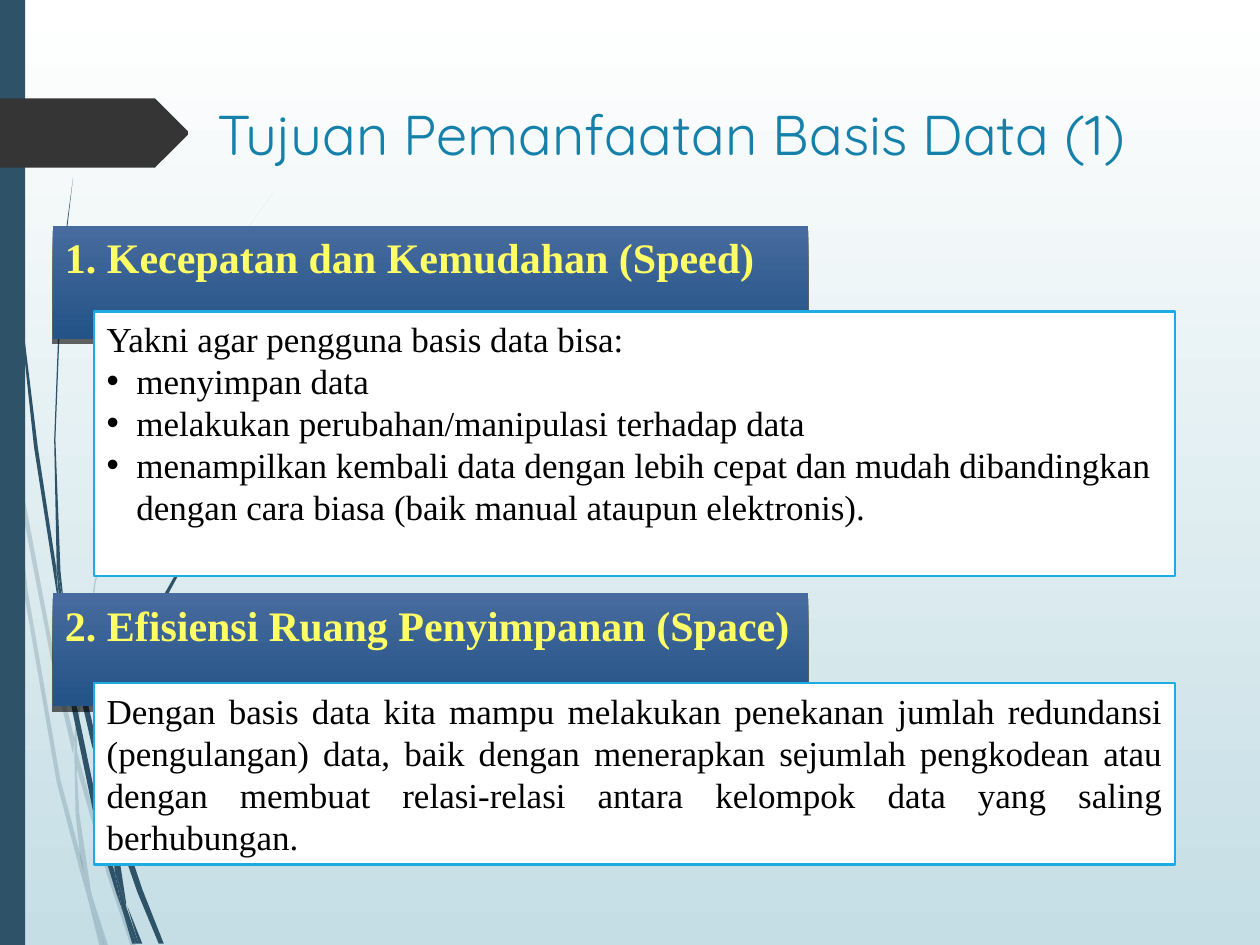
"""Build a slide on the first two purposes of using a database."""
from dataclasses import dataclass

from lxml.etree import SubElement
from pptx import Presentation
from pptx.dml.color import RGBColor
from pptx.enum.shapes import MSO_SHAPE
from pptx.enum.text import MSO_ANCHOR, MSO_AUTO_SIZE, PP_ALIGN
from pptx.oxml.ns import qn
from pptx.util import Cm, Pt

TITLE = "Tujuan Pemanfaatan Basis Data (1)"
SECTIONS = [
    {
        "heading": "1. Kecepatan dan Kemudahan (Speed)",
        "intro": "Yakni agar pengguna basis data bisa:",
        "bullets": [
            "menyimpan data",
            "melakukan perubahan/manipulasi terhadap data",
            "menampilkan kembali data dengan lebih cepat dan mudah dibandingkan "
            "dengan cara biasa (baik manual ataupun elektronis).",
        ],
        "align": PP_ALIGN.LEFT,
        "banner_top": 4.55, "body_top": 6.28, "body_height": 5.33,
    },
    {
        "heading": "2. Efisiensi Ruang Penyimpanan (Space)",
        "intro": "Dengan basis data kita mampu melakukan penekanan jumlah redundansi "
                 "(pengulangan) data, baik dengan menerapkan sejumlah pengkodean atau "
                 "dengan membuat relasi-relasi antara kelompok data yang saling berhubungan.",
        "bullets": [],
        "align": PP_ALIGN.JUSTIFY,
        "banner_top": 11.96, "body_top": 13.77, "body_height": 3.66,
    },
]

FADED_WISPS = [
    [(8, 350), (6, 322), (0, 282), (0, 299), (7, 344)],
    [(40, 521), (58, 599), (59, 586), (43, 520), (10, 345), (12, 376)],
    [(64, 607), (61, 596), (61, 610), (85, 694), (104, 751), (108, 751), (88, 692)],
    [(83, 751), (86, 751), (73, 711)],
    [(65, 683), (48, 619), (22, 469), (12, 376), (8, 350), (19, 470), (45, 621),
     (64, 693), (70, 714), (69, 707)],
    [(59, 599), (60, 646), (64, 683), (67, 692), (73, 711), (72, 706), (63, 646),
     (61, 610), (61, 608)],
    [(61, 584), (76, 462), (111, 349), (159, 245), (186, 198), (201, 175), (217, 153),
     (201, 175), (186, 197), (158, 244), (110, 348), (75, 461), (59, 584), (59, 586),
     (61, 596)],
    [(70, 714), (79, 751), (82, 751)],
    [(61, 608), (61, 610), (61, 596), (59, 586), (59, 599)],
    [(67, 692), (65, 683), (69, 707), (70, 714), (82, 751), (83, 751), (73, 711)],
]
SOLID_WISPS = [
    [(5, 110), (14, 233), (27, 355), (46, 477), (47, 481), (45, 457), (45, 453),
     (30, 355), (15, 232), (6, 109), (4, 48), (3, 0), (2, 0), (3, 48)],
    [(73, 592), (88, 645), (88, 633), (88, 631), (77, 590), (50, 472), (53, 505)],
    [(94, 649), (91, 641), (91, 656), (109, 708), (126, 749), (130, 749), (113, 706)],
    [(91, 692), (81, 657), (60, 556), (53, 505), (47, 477), (56, 557), (77, 659),
     (92, 708), (97, 722), (96, 717)],
    [(50, 472), (48, 453), (44, 349), (48, 245), (52, 193), (58, 141), (58, 141),
     (51, 193), (47, 245), (43, 349), (45, 449), (49, 471)],
    [(110, 749), (113, 749), (101, 719)],
    [(47, 477), (53, 505), (50, 472), (49, 472), (45, 449), (45, 453)],
    [(91, 633), (103, 552), (131, 476), (169, 406), (191, 374), (203, 359), (216, 344),
     (215, 344), (203, 358), (191, 373), (168, 405), (129, 474), (101, 551), (88, 631),
     (91, 641)],
    [(97, 722), (105, 749), (108, 749)],
    [(88, 645), (91, 692), (96, 706), (100, 719), (100, 716), (91, 657), (90, 651)],
    [(96, 706), (91, 692), (96, 717), (97, 722), (108, 749), (110, 749), (100, 719)],
]
ARROW = [(149, 107), (124, 132), (123, 133), (121, 133), (0, 133), (0, 78), (121, 78),
         (123, 78), (124, 79), (149, 104)]


@dataclass(frozen=True)
class Theme:
    sky: tuple = ("FFFFFF", "C5DEE5")
    banner: tuple = ("476B9E", "235387")
    slate: str = "2E5369"
    arrow: str = "353535"
    title: str = "1581AA"
    heading: str = "FFFF66"
    text: str = "000000"
    panel: str = "FFFFFF"
    outline: str = "1CACE3"
    title_font: str = "Quicksand"
    text_font: str = "Times New Roman"
    title_size: int = 32
    heading_size: int = 24
    text_size: int = 20
    text_leading: int = 24


THEME = Theme()
OUTLINE_UNIT = Cm(2.54) / 100


def paint_gradient(fill, colors):
    fill.gradient()
    fill.gradient_angle = 270
    for stop, color in zip(fill.gradient_stops, colors):
        stop.color.rgb = RGBColor.from_string(color)


def paint_solid(shape, color, opacity=100):
    shape.shadow.inherit = False
    shape.line.fill.background()
    shape.fill.solid()
    shape.fill.fore_color.rgb = RGBColor.from_string(color)
    if opacity < 100:
        tone = shape._element.spPr.find(qn("a:solidFill")).find(qn("a:srgbClr"))
        SubElement(tone, qn("a:alpha"), val=str(opacity * 1000))


def add_outline(page, points, color, opacity=100):
    builder = page.shapes.build_freeform(*points[0], scale=OUTLINE_UNIT)
    builder.add_line_segments(points[1:], close=True)
    paint_solid(builder.convert_to_shape(), color, opacity)


def add_rectangle(page, left, top, width, height):
    return page.shapes.add_shape(
        MSO_SHAPE.RECTANGLE, Cm(left), Cm(top), Cm(width), Cm(height))


def drop_shadow(shape):
    shape.shadow.inherit = False
    effects = shape._element.spPr.find(qn("a:effectLst"))
    shadow = SubElement(effects, qn("a:outerShdw"), blurRad="0", dist=str(Pt(3)),
                        dir="5400000", rotWithShape="0")
    tone = SubElement(shadow, qn("a:srgbClr"), val="000000")
    SubElement(tone, qn("a:alpha"), val="60000")


def prepare_frame(box):
    frame = box.text_frame
    frame.word_wrap = True
    frame.auto_size = MSO_AUTO_SIZE.NONE
    frame.vertical_anchor = MSO_ANCHOR.TOP
    return frame


def write(paragraph, text, *, font, size, color, bold=False, align=PP_ALIGN.LEFT,
          leading=None, bullet=False):
    if bullet:
        marks = paragraph._p.get_or_add_pPr()
        marks.set("marL", str(Cm(0.6)))
        marks.set("indent", str(-Cm(0.6)))
        SubElement(SubElement(marks, qn("a:buClr")), qn("a:srgbClr"), val=color)
        SubElement(marks, qn("a:buFont"), typeface="Arial")
        SubElement(marks, qn("a:buChar"), char="•")
    paragraph.alignment = align
    if leading:
        paragraph.line_spacing = Pt(leading)
    span = paragraph.add_run()
    span.text = text
    span.font.name, span.font.size, span.font.bold = font, Pt(size), bold
    span.font.color.rgb = RGBColor.from_string(color)


def add_section(page, section):
    banner = add_rectangle(page, 1.06, section["banner_top"], 15.24, 2.28)
    paint_gradient(banner.fill, THEME.banner)
    banner.line.fill.background()
    drop_shadow(banner)
    write(prepare_frame(banner).paragraphs[0], section["heading"], font=THEME.text_font,
          size=THEME.heading_size, color=THEME.heading, bold=True)

    panel = add_rectangle(page, 1.9, section["body_top"], 21.79, section["body_height"])
    paint_solid(panel, THEME.panel)
    panel.line.color.rgb = RGBColor.from_string(THEME.outline)
    panel.line.width = Pt(1.25)
    frame = prepare_frame(panel)
    style = dict(font=THEME.text_font, size=THEME.text_size, color=THEME.text,
                 align=section["align"], leading=THEME.text_leading)
    write(frame.paragraphs[0], section["intro"], **style)
    for item in section["bullets"]:
        write(frame.add_paragraph(), item, bullet=True, **style)


def main():
    deck = Presentation()
    deck.slide_width, deck.slide_height = Cm(25.4), Cm(19.05)
    page = deck.slides.add_slide(deck.slide_layouts[5])
    paint_gradient(page.background.fill, THEME.sky)

    for wisps, opacity in ((FADED_WISPS, 20), (SOLID_WISPS, 100)):
        for points in wisps:
            add_outline(page, points, THEME.slate, opacity)
    paint_solid(add_rectangle(page, 0, 0, 0.51, 19.05), THEME.slate)
    add_outline(page, ARROW, THEME.arrow)

    title = page.shapes.title
    title.left, title.top, title.width, title.height = Cm(4.14), Cm(1.88), Cm(20.85), Cm(3.56)
    write(prepare_frame(title).paragraphs[0], TITLE, font=THEME.title_font,
          size=THEME.title_size, color=THEME.title)
    page.shapes._spTree.append(title._element)

    for section in SECTIONS:
        add_section(page, section)
    deck.save("out.pptx")


if __name__ == "__main__":
    main()
